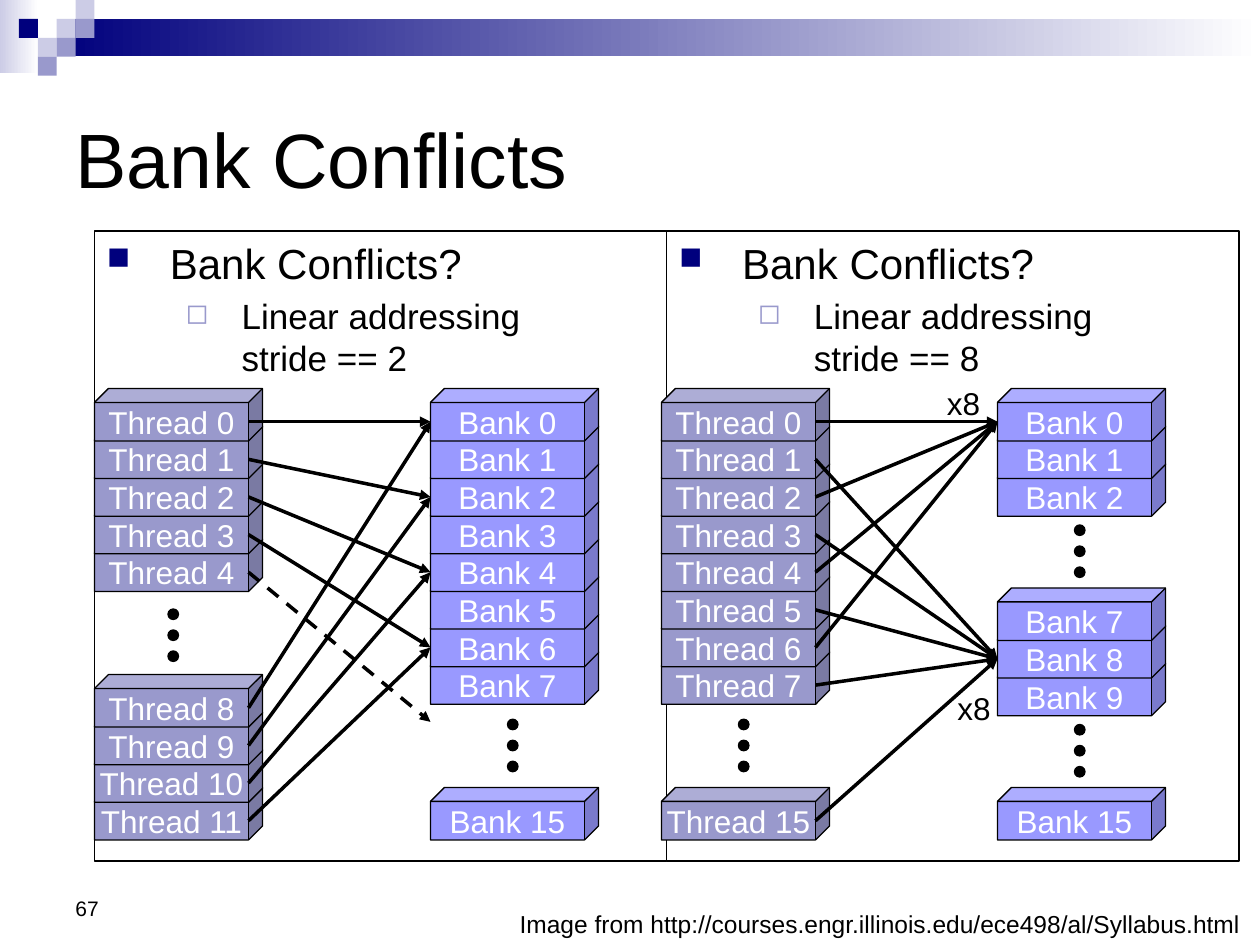
from lxml.etree import SubElement
from pptx import Presentation
from pptx.dml.color import RGBColor
from pptx.enum.dml import MSO_LINE
from pptx.enum.shapes import MSO_CONNECTOR, MSO_SHAPE
from pptx.enum.text import MSO_ANCHOR, PP_ALIGN
from pptx.oxml.ns import qn
from pptx.util import Pt

BLACK = RGBColor(0x00, 0x00, 0x00)
WHITE = RGBColor(0xFF, 0xFF, 0xFF)
NAVY = RGBColor(0x00, 0x00, 0x7D)
PALE = RGBColor(0xCC, 0xCC, 0xE6)
THREAD_COLOR = RGBColor(0x99, 0x99, 0xCC)
BANK_COLOR = RGBColor(0x99, 0x99, 0xFF)

FONT = "Arial"
STACK_TOP, PITCH, LAST_TOP = 222, 21.5, 450
CUBE_WIDTH, CUBE_HEIGHT, FRONT_WIDTH = 96, 30, 88
FRONT_MIDDLE = 19  # from the top of a cube to the middle of its front face
BANK_OFFSET = 192  # from the thread column to the bank column


def style_text(paragraph, size, color=BLACK):
    paragraph.font.name = FONT
    paragraph.font.size = Pt(size)
    paragraph.font.color.rgb = color


def add_shape(slide, kind, left, top, width, height, fill=None, outlined=True):
    shape = slide.shapes.add_shape(kind, Pt(left), Pt(top), Pt(width), Pt(height))
    shape.shadow.inherit = False
    if fill is None:
        shape.fill.background()
    else:
        shape.fill.solid()
        shape.fill.fore_color.rgb = fill
    if outlined:
        shape.line.color.rgb = BLACK
        shape.line.width = Pt(0.75)
    else:
        shape.line.fill.background()
    return shape


def add_fade(slide, left, top, width, height, color):
    """Bar that fades from color to white, left to right."""
    bar = add_shape(slide, MSO_SHAPE.RECTANGLE, left, top, width, height, outlined=False)
    bar.fill.gradient()
    bar.fill.gradient_angle = 0
    for stop, stop_color in zip(bar.fill.gradient_stops, (color, WHITE)):
        stop.color.rgb = stop_color


def add_header(slide):
    add_fade(slide, 0, 0, 22, 42, PALE)
    add_fade(slide, 32.4, 10.8, 687.6, 21.4, NAVY)
    side = 10.8
    for column, row, color in ((3, 1, PALE), (4, 0, PALE), (4, 1, THREAD_COLOR),
                               (2, 2, PALE), (1, 1, NAVY), (3, 2, THREAD_COLOR),
                               (2, 3, THREAD_COLOR)):
        add_shape(slide, MSO_SHAPE.RECTANGLE, column * side, row * side,
                  side, side, color, outlined=False)


def add_label(slide, text, left, top, width, height, size,
              align=PP_ALIGN.LEFT, anchor=MSO_ANCHOR.TOP, wrap=True):
    frame = slide.shapes.add_textbox(Pt(left), Pt(top), Pt(width), Pt(height)).text_frame
    frame.word_wrap = wrap
    frame.vertical_anchor = anchor
    frame.text = text
    frame.paragraphs[0].alignment = align
    style_text(frame.paragraphs[0], size)


def set_bullet(paragraph, char, color, percent, margin, hanging):
    properties = paragraph._p.get_or_add_pPr()
    properties.set("marL", str(Pt(margin)))
    properties.set("indent", str(-Pt(hanging)))
    bullet_color = SubElement(properties, qn("a:buClr"))
    SubElement(bullet_color, qn("a:srgbClr"), val=str(color))
    SubElement(properties, qn("a:buSzPct"), val=str(percent * 1000))
    SubElement(properties, qn("a:buChar"), char=char)


def add_panel(slide, left, stride):
    panel = add_shape(slide, MSO_SHAPE.RECTANGLE, left, 132, 327, 360)
    frame = panel.text_frame
    frame.vertical_anchor = MSO_ANCHOR.TOP
    question = frame.paragraphs[0]
    question.text = "Bank Conflicts?"
    set_bullet(question, "■", NAVY, 75, 36, 36)
    style_text(question, 24)
    addressing = frame.add_paragraph()
    addressing.text = f"Linear addressing\vstride == {stride}"
    addressing.level = 1
    set_bullet(addressing, "◻", THREAD_COLOR, 80, 77, 32)
    addressing.space_before = Pt(4)
    style_text(addressing, 20)
    for paragraph in frame.paragraphs:
        paragraph.alignment = PP_ALIGN.LEFT


def add_stack(slide, kind, numbers, left, top, color):
    """Stack of cubes, drawn upwards so that each covers the lid of the one below."""
    for row, number in reversed(list(enumerate(numbers))):
        cube = add_shape(slide, MSO_SHAPE.CUBE, left, top + row * PITCH,
                         CUBE_WIDTH, CUBE_HEIGHT, color)
        cube.adjustments[0] = 0.266
        frame = cube.text_frame
        frame.word_wrap = False
        frame.vertical_anchor = MSO_ANCHOR.MIDDLE
        frame.text = f"{kind} {number}"
        frame.paragraphs[0].alignment = PP_ALIGN.CENTER
        style_text(frame.paragraphs[0], 18, WHITE)


def add_ellipsis(slide, left, top):
    for index in range(3):
        add_shape(slide, MSO_SHAPE.OVAL, left, top + index * 12, 6, 6, BLACK)


def add_arrow(slide, threads_left, thread_top, bank_top, dashed=False):
    arrow = slide.shapes.add_connector(
        MSO_CONNECTOR.STRAIGHT,
        Pt(threads_left + FRONT_WIDTH), Pt(thread_top + FRONT_MIDDLE),
        Pt(threads_left + BANK_OFFSET), Pt(bank_top + FRONT_MIDDLE))
    arrow.line.color.rgb = BLACK
    arrow.line.width = Pt(2)
    if dashed:
        arrow.line.dash_style = MSO_LINE.DASH
    SubElement(arrow.line._get_or_add_ln(), qn("a:tailEnd"), type="triangle")
    SubElement(arrow._element.spPr, qn("a:effectLst"))


def row_top(row):
    return STACK_TOP + row * PITCH


def add_stride_two(slide, left):
    banks_left = left + BANK_OFFSET
    late_top = LAST_TOP - 3 * PITCH
    add_stack(slide, "Thread", range(8, 12), left, late_top, THREAD_COLOR)
    add_stack(slide, "Thread", range(5), left, STACK_TOP, THREAD_COLOR)
    add_ellipsis(slide, left + 42, 348)
    for first_top in (STACK_TOP, late_top):
        for thread in range(4):
            add_arrow(slide, left, first_top + thread * PITCH, row_top(2 * thread))
    add_arrow(slide, left, row_top(4), 393.5, dashed=True)
    add_stack(slide, "Bank", [15], banks_left, LAST_TOP, BANK_COLOR)
    add_stack(slide, "Bank", range(8), banks_left, STACK_TOP, BANK_COLOR)
    add_ellipsis(slide, banks_left + 44, 411)


def add_stride_eight(slide, left):
    banks_left = left + BANK_OFFSET
    middle_top = 336
    add_stack(slide, "Thread", [15], left, LAST_TOP, THREAD_COLOR)
    add_stack(slide, "Thread", range(8), left, STACK_TOP, THREAD_COLOR)
    add_ellipsis(slide, left + 44, 411)
    bank_tops = (STACK_TOP, middle_top + PITCH)  # banks 0 and 8
    for thread in range(8):
        add_arrow(slide, left, row_top(thread), bank_tops[thread % 2])
    add_arrow(slide, left, LAST_TOP, bank_tops[1])
    add_stack(slide, "Bank", [15], banks_left, LAST_TOP, BANK_COLOR)
    add_stack(slide, "Bank", range(7, 10), banks_left, middle_top, BANK_COLOR)
    add_stack(slide, "Bank", range(3), banks_left, STACK_TOP, BANK_COLOR)
    for dots_top in (414, 300):
        add_ellipsis(slide, banks_left + 44, dots_top)
    add_label(slide, "x8", 534, 216, 34, 29, 18, wrap=False)
    add_label(slide, "x8", 540, 390, 34, 29, 18, wrap=False)


def main():
    presentation = Presentation()
    presentation.slide_width, presentation.slide_height = Pt(720), Pt(540)
    slide = presentation.slides.add_slide(presentation.slide_layouts[6])
    add_header(slide)
    add_label(slide, "Bank Conflicts", 36, 36, 648, 108, 44, anchor=MSO_ANCHOR.MIDDLE)
    add_label(slide, "Image from http://courses.engr.illinois.edu/ece498/al/Syllabus.html",
              0, 516, 716, 24, 14, align=PP_ALIGN.RIGHT)
    add_panel(slide, 54, 2)
    add_panel(slide, 381, 8)
    add_stride_two(slide, 54)
    add_stride_eight(slide, 378)
    add_label(slide, "67", 36, 492, 168, 37.5, 12, anchor=MSO_ANCHOR.BOTTOM)
    presentation.save("out.pptx")


if __name__ == "__main__":
    main()
